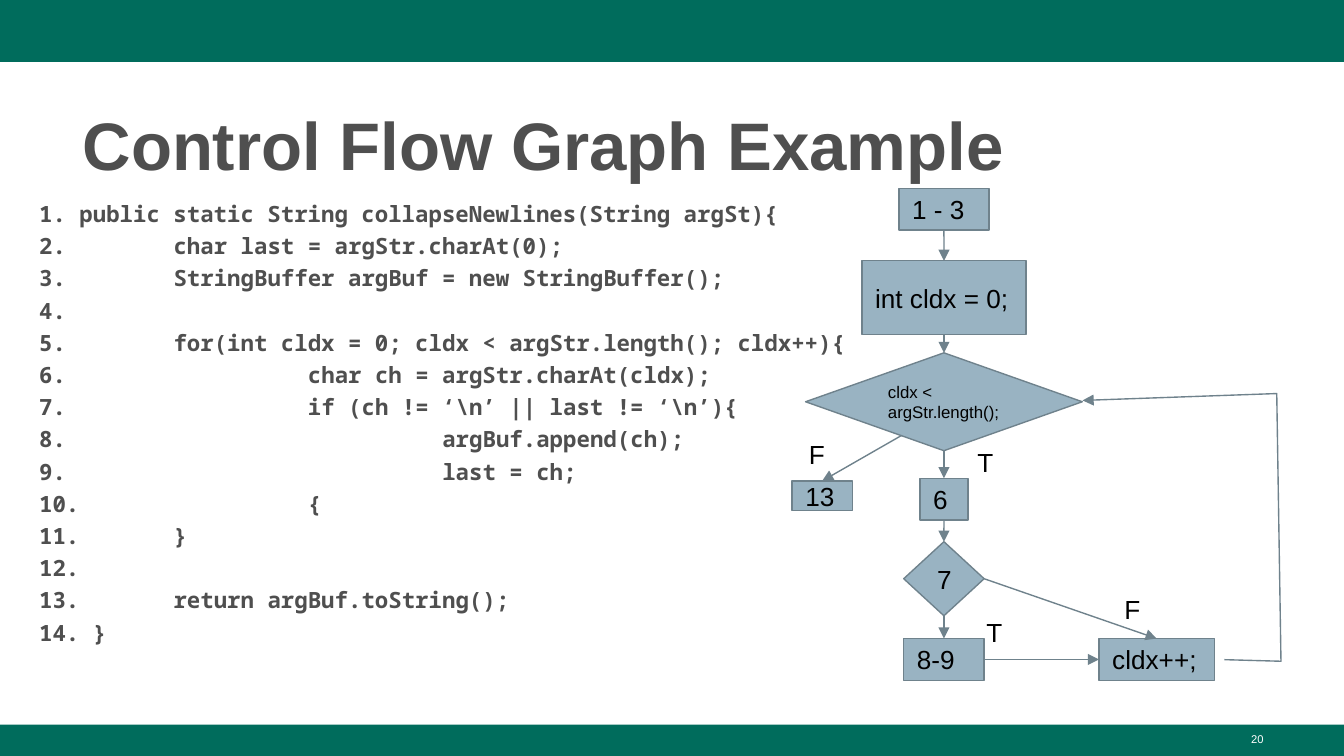
from pptx import Presentation
from pptx.dml.color import RGBColor
from pptx.enum.shapes import MSO_CONNECTOR, MSO_SHAPE
from pptx.enum.text import MSO_ANCHOR, PP_ALIGN
from pptx.oxml.ns import qn
from pptx.util import Cm, Pt
from lxml.etree import SubElement

GREEN, GRAY, BLUE, EDGE = "006C5C", "4F4F4F", "99B3C2", "6F828C"
BLACK, WHITE = "000000", "FFFFFF"
TOP, LEFT, BOTTOM, RIGHT = range(4)
SPINE = 2.88

CODE = """1. public static String collapseNewlines(String argSt){
2.\tchar last = argStr.charAt(0);
3.\tStringBuffer argBuf = new StringBuffer();
4.
5.\tfor(int cldx = 0; cldx < argStr.length(); cldx++){
6.\t\tchar ch = argStr.charAt(cldx);
7.\t\tif (ch != ‘\\n’ || last != ‘\\n’){
8.\t\t\targBuf.append(ch);
9.\t\t\tlast = ch;
10.\t\t{
11.\t}
12.
13.\treturn argBuf.toString();
14. }"""


def color(hex_text):
    """Turn a hex string into a colour."""
    return RGBColor.from_string(hex_text)


def write(sp, text, size, ink=BLACK, font="Arial", bold=False, spacing=None,
          align=PP_ALIGN.LEFT, anchor=MSO_ANCHOR.TOP, inset=0.25):
    """Fill a shape with text in one style."""
    tf = sp.text_frame
    tf.text = text
    tf.word_wrap = True
    tf.vertical_anchor = anchor
    tf.margin_left = tf.margin_right = Cm(0.25)
    tf.margin_top = tf.margin_bottom = Cm(inset)
    for p in tf.paragraphs:
        p.alignment = align
        p.line_spacing = spacing
        for r in p.runs:
            r.font.name, r.font.size, r.font.bold = font, Pt(size), bold
            r.font.color.rgb = color(ink)


def add_text(s, box, text, size, **style):
    """Add a text box and return it."""
    sp = s.shapes.add_textbox(*map(Cm, box))
    write(sp, text, size, **style)
    return sp


def set_tabs(sp, step, count):
    """Give every paragraph evenly spaced tab stops."""
    for p in sp.element.iter(qn("a:pPr")):
        tabs = SubElement(p, qn("a:tabLst"))
        for i in range(1, count + 1):
            SubElement(tabs, qn("a:tab"), pos=str(Cm(step * i)), algn="l")


def add_block(s, kind, box, fill, edge=None):
    """Add a filled preset shape, outlined when an edge colour is given."""
    sp = s.shapes.add_shape(kind, *map(Cm, box))
    sp.shadow.inherit = False
    sp.fill.solid()
    sp.fill.fore_color.rgb = color(fill)
    if edge:
        sp.line.color.rgb = color(edge)
        sp.line.width = Pt(0.75)
    else:
        sp.line.fill.background()
    return sp


def make_arrow(sp):
    """Style a line with a triangle at its end and no shadow."""
    sp.line.color.rgb = color(EDGE)
    sp.line.width = Pt(0.75)
    props = sp.element.spPr
    SubElement(props.find(qn("a:ln")), qn("a:tailEnd"), type="triangle")
    if props.find(qn("a:effectLst")) is None:
        SubElement(props, qn("a:effectLst"))


def frame(s, box):
    """Draw the top and bottom bars and the slide number."""
    x, y, w, h = box
    add_block(s, MSO_SHAPE.RECTANGLE, (x, y, w, 1.17), GREEN)
    add_block(s, MSO_SHAPE.RECTANGLE, (x, y + h - 0.59, w, 0.59), GREEN)
    add_text(s, (x + w - 7.19, y + h - 0.58, 5.92, 0.58), "20", 6, ink=WHITE,
             align=PP_ALIGN.RIGHT, inset=0.13)


def code_panel(s, box):
    """Place the title with the code listing below it."""
    x, y, w, h = box
    add_text(s, (x + 0.82, y, w, 1.85), "Control Flow Graph Example", 36,
             ink=GRAY, bold=True, spacing=1.08, inset=0.13)
    sp = add_text(s, (x, y + 1.85, w, h - 1.85), CODE, 12, ink=GRAY,
                  font="Noto Sans Mono", bold=True, spacing=1.2, inset=0.13)
    set_tabs(sp, 2.54, 3)


def flow_graph(s, box):
    """Draw the nodes, branches and loop of the control flow graph."""
    x, y = box[:2]
    rect, diamond = MSO_SHAPE.RECTANGLE, MSO_SHAPE.DIAMOND
    nodes = {}
    for name, kind, text, cx, top, w, h, size in [
        ("start", rect, "1 - 3", SPINE, 0, 1.7, 0.79, 14),
        ("init", rect, "int cldx = 0;", SPINE, 1.37, 3.1, 1.4, 14),
        ("test", diamond, "cldx < argStr.length();", SPINE, 3.11, 5.23, 1.85, 9),
        ("read", rect, "6", SPINE, 5.48, 0.91, 0.79, 14),
        ("check", diamond, "7", SPINE, 6.68, 1.52, 1.4, 14),
        ("append", rect, "8-9", SPINE, 8.51, 1.52, 0.79, 14),
        ("finish", rect, "13", 0.58, 5.53, 1.14, 0.56, 14),
        ("step", rect, "cldx++;", 6.9, 8.51, 2.18, 0.79, 14),
    ]:
        sp = add_block(s, kind, (x + cx - w / 2, y + top, w, h), BLUE, EDGE)
        write(sp, text, size, anchor=MSO_ANCHOR.MIDDLE)
        nodes[name] = sp

    spine = ["start", "init", "test", "read", "check", "append"]
    links = [(a, BOTTOM, b, TOP) for a, b in zip(spine, spine[1:])]
    links += [("test", None, "finish", TOP), ("check", RIGHT, "step", TOP),
              ("append", RIGHT, "step", LEFT)]
    for a, exit_site, b, entry_site in links:
        line = s.shapes.add_connector(MSO_CONNECTOR.STRAIGHT, Cm(x + 2.08),
                                      Cm(y + 4.67), Cm(x), Cm(y))
        if exit_site is not None:
            line.begin_connect(nodes[a], exit_site)
        line.end_connect(nodes[b], entry_site)
        make_arrow(line)

    loop = s.shapes.build_freeform(818, 891, scale=Cm(0.01))
    loop.add_line_segments([(925, 894), (917, 388), (550, 401)], close=False)
    sp = loop.convert_to_shape(Cm(x), Cm(y))
    sp.shadow.inherit = False
    sp.fill.background()
    make_arrow(sp)

    for text, left, top in [("T", 3.26, 4.68), ("F", 0.08, 4.53),
                            ("T", 3.43, 7.91), ("F", 6.04, 7.46)]:
        add_text(s, (x + left, y + top, 1, 0.44), text, 14)


def build():
    """Build and save the slide."""
    prs = Presentation()
    prs.slide_width, prs.slide_height = Cm(25.4), Cm(14.29)
    s = prs.slides.add_slide(prs.slide_layouts[6])
    frame(s, (0, 0, 25.4, 14.29))
    code_panel(s, (0.49, 1.7, 22.83, 11.53))
    flow_graph(s, (14.96, 3.56, 9.25, 9.3))
    prs.save("out.pptx")


build()
